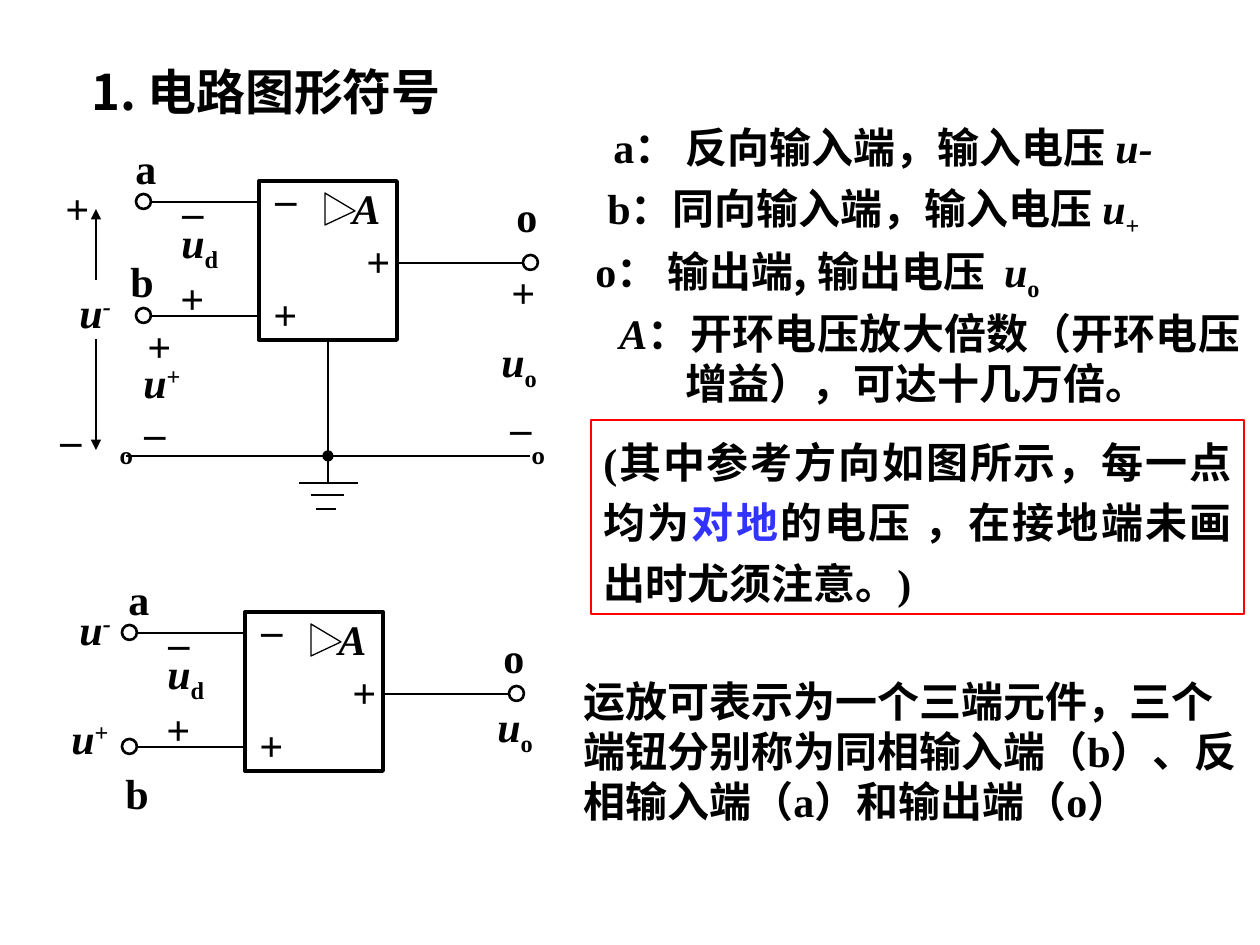
from lxml.etree import SubElement
from pptx import Presentation
from pptx.dml.color import RGBColor
from pptx.enum.shapes import MSO_CONNECTOR, MSO_SHAPE
from pptx.enum.text import MSO_ANCHOR, MSO_AUTO_SIZE, PP_ALIGN
from pptx.oxml.ns import qn
from pptx.util import Inches, Pt

PX = 7257  # EMU per px, 126 px to the inch
BLACK, WHITE, RED, BLUE = "000000", "FFFFFF", "FF0000", "3333FF"
SERIF, SANS = "Times New Roman", "Noto Sans CJK SC"
color = RGBColor.from_string

deck = Presentation()
deck.slide_width, deck.slide_height = Inches(10), Inches(7.5)
slide = deck.slides.add_slide(deck.slide_layouts[6])
shapes = slide.shapes


def write(box, runs, size=24, wrap=True, align=PP_ALIGN.LEFT):
    """Fill a box; a run is text, style (i italic, ^ raised, _ lowered), font, colour."""
    frame = box.text_frame
    frame.word_wrap = wrap
    frame.auto_size = MSO_AUTO_SIZE.SHAPE_TO_FIT_TEXT
    frame.vertical_anchor = MSO_ANCHOR.TOP
    paragraph = frame.paragraphs[0]
    paragraph.alignment = align
    for text, style, face, ink in runs:
        run = paragraph.add_run()
        run.text = text
        font = run.font
        font.size, font.bold, font.italic = Pt(size), True, "i" in style
        font.name = face
        font.color.rgb = color(ink)
        SubElement(font._element, qn("a:ea")).set("typeface", SANS)
        if "^" in style:
            font._element.set("baseline", "30000")
        if "_" in style:
            font._element.set("baseline", "-25000")
    return paragraph


def wire(x1, y1, x2, y2, weight=1.5):
    line = shapes.add_connector(MSO_CONNECTOR.STRAIGHT, x1 * PX, y1 * PX, x2 * PX, y2 * PX)
    line.line.color.rgb = color(BLACK)
    line.line.width = Pt(weight)
    SubElement(line._element.spPr, qn("a:effectLst"))
    return line


# Title
title = shapes.add_textbox(79 * PX, 55 * PX, 402 * PX, 131 * PX)
write(title, [("1. 电路图形符号", "", SANS, BLACK)], size=28)

# Terminal descriptions
descriptions = [
    (601, 115, 588, 63, [("a： 反向输入端，输入电压 ", "", SERIF, BLACK),
                         ("u-", "i", SERIF, BLACK)]),
    (595, 176, 600, 71, [("b：同向输入端，输入电压 ", "", SERIF, BLACK),
                         ("u", "i", SERIF, BLACK), ("+", "_", SERIF, BLACK)]),
    (583, 239, 560, 71, [("o： ", "", SERIF, BLACK),
                         ("输出端, 输出电压  ", "", SANS, BLACK),
                         ("u", "i", SERIF, BLACK), ("o", "_", SERIF, BLACK)]),
]
for x, y, w, h, runs in descriptions:
    write(shapes.add_textbox(x * PX, y * PX, w * PX, h * PX), runs)

gain = shapes.add_textbox(607 * PX, 301 * PX, 646 * PX, 113 * PX)
gain_text = write(gain, [("A", "i", SERIF, BLACK),
                         ("：开环电压放大倍数（开环电压增益），可达十几万倍。", "", SERIF, BLACK)],
                  align=PP_ALIGN.JUSTIFY)
hanging = gain_text._p.get_or_add_pPr()
hanging.set("marL", str(66 * PX))
hanging.set("indent", str(-66 * PX))

# Red framed remark
remark = shapes.add_shape(MSO_SHAPE.RECTANGLE, 591 * PX, 420 * PX, 653 * PX, 194 * PX)
remark.shadow.inherit = False
remark.fill.background()
remark.line.color.rgb = color(RED)
remark.line.width = Pt(0.75)
remark_text = write(remark, [("(", "", SERIF, BLACK),
                             ("其中参考方向如图所示，每一点均为", "", SANS, BLACK),
                             ("对地", "", SANS, BLUE),
                             ("的电压 ，在接地端未画出时尤须注意。", "", SANS, BLACK),
                             (")", "", SERIF, BLACK)], align=PP_ALIGN.JUSTIFY)
remark_text.line_spacing = 1.2

# Summary
summary = shapes.add_textbox(571 * PX, 669 * PX, 689 * PX, 164 * PX)
write(summary, [("运放可表示为一个三端元件，三个端钮分别称为同相输入端（b）、"
                 "反相输入端（a）和输出端（o）", "", SERIF, BLACK)])

# Circuit symbols: width, height, (text, style) runs
symbols = {
    "+": (49, 63, [("+", "")]),
    "-": (46, 63, [("_", "")]),
    "a": (46, 63, [("a", "")]),
    "b": (49, 63, [("b", "")]),
    "o": (46, 63, [("o", "")]),
    "A": (54, 63, [("A", "i")]),
    "u+": (64, 63, [("u", "i"), ("+", "^")]),
    "u-": (58, 63, [("u", "i"), ("-", "i^")]),
    "uo": (64, 71, [("u", "i"), ("o", "_")]),
    "ud": (64, 71, [("u", "i"), ("d", "_")]),
}
labels = [
    # upper circuit
    ("a", 123, 136), ("b", 118, 249), ("o", 504, 184),
    ("+", 53, 176), ("u-", 67, 280), ("-", 48, 393),
    ("+", 135, 314), ("u+", 131, 350), ("-", 132, 386),
    ("+", 499, 260), ("uo", 489, 329), ("-", 498, 381),
    # lower circuit
    ("a", 116, 567), ("b", 113, 761), ("o", 491, 625),
    ("u-", 67, 597), ("u+", 59, 706), ("uo", 485, 694),
]

# Op-amp, drawn once for each circuit
amplifiers = []
for dx, dy in [(0, 0), (-14, 431)]:
    for x1, x2, y in [(259, 149, 202), (259, 149, 316), (398, 528, 263)]:
        wire(x1 + dx, y + dy, x2 + dx, y + dy)
    parts = [
        (MSO_SHAPE.RECTANGLE, 259, 181, 138, 159, 2.25),
        (MSO_SHAPE.ISOSCELES_TRIANGLE, 324, 194, 32, 30, 0.75),
        (MSO_SHAPE.OVAL, 136, 194, 15, 15, 1.5),
        (MSO_SHAPE.OVAL, 136, 308, 15, 15, 1.5),
        (MSO_SHAPE.OVAL, 523, 255, 15, 15, 1.5),
    ]
    for kind, x, y, w, h, weight in parts:
        part = shapes.add_shape(kind, (x + dx) * PX, (y + dy) * PX, w * PX, h * PX)
        part.shadow.inherit = False
        part.fill.solid()
        part.fill.fore_color.rgb = color(WHITE)
        part.line.color.rgb = color(BLACK)
        part.line.width = Pt(weight)
        if kind == MSO_SHAPE.RECTANGLE:
            amplifiers.append(part)
        if kind == MSO_SHAPE.ISOSCELES_TRIANGLE:
            part.rotation = 90
            part.adjustments[0] = 0.56
    for symbol, x, y in [("-", 170, 165), ("ud", 169, 210), ("+", 168, 266),
                         ("-", 263, 152), ("+", 261, 282), ("A", 340, 176), ("+", 354, 229)]:
        labels.append((symbol, x + dx, y + dy))

# Ground rail, ground sign and junction
for x1, x2, y in [(126, 530, 456), (299, 358, 483), (311, 344, 495), (316, 336, 509)]:
    wire(x1, y, x2, y)
wire(328, 340, 328, 483).begin_connect(amplifiers[0], 2)
junction = shapes.add_shape(MSO_SHAPE.OVAL, 323 * PX, 451 * PX, 10 * PX, 10 * PX)
junction.shadow.inherit = False
junction.fill.solid()
junction.fill.fore_color.rgb = color(BLACK)
junction.line.color.rgb = color(BLACK)
junction.line.width = Pt(0.75)
for x in (107, 519):
    rail_end = shapes.add_textbox(x * PX, 432 * PX, 26 * PX, 63 * PX)
    write(rail_end, [("º", "", SERIF, BLACK)], align=PP_ALIGN.CENTER)
    rail_end.text_frame.vertical_anchor = MSO_ANCHOR.MIDDLE

# Voltage arrows on the left
for start, end in [(280, 209), (339, 450)]:
    arrow = wire(96, start, 96, end, 0.75)
    SubElement(arrow.line._get_or_add_ln(), qn("a:tailEnd")).set("type", "triangle")

# Labels of both circuits
for symbol, x, y in labels:
    w, h, runs = symbols[symbol]
    label = shapes.add_textbox(x * PX, y * PX, w * PX, h * PX)
    write(label, [(text, style, SERIF, BLACK) for text, style in runs], wrap=False)

deck.save("out.pptx")
